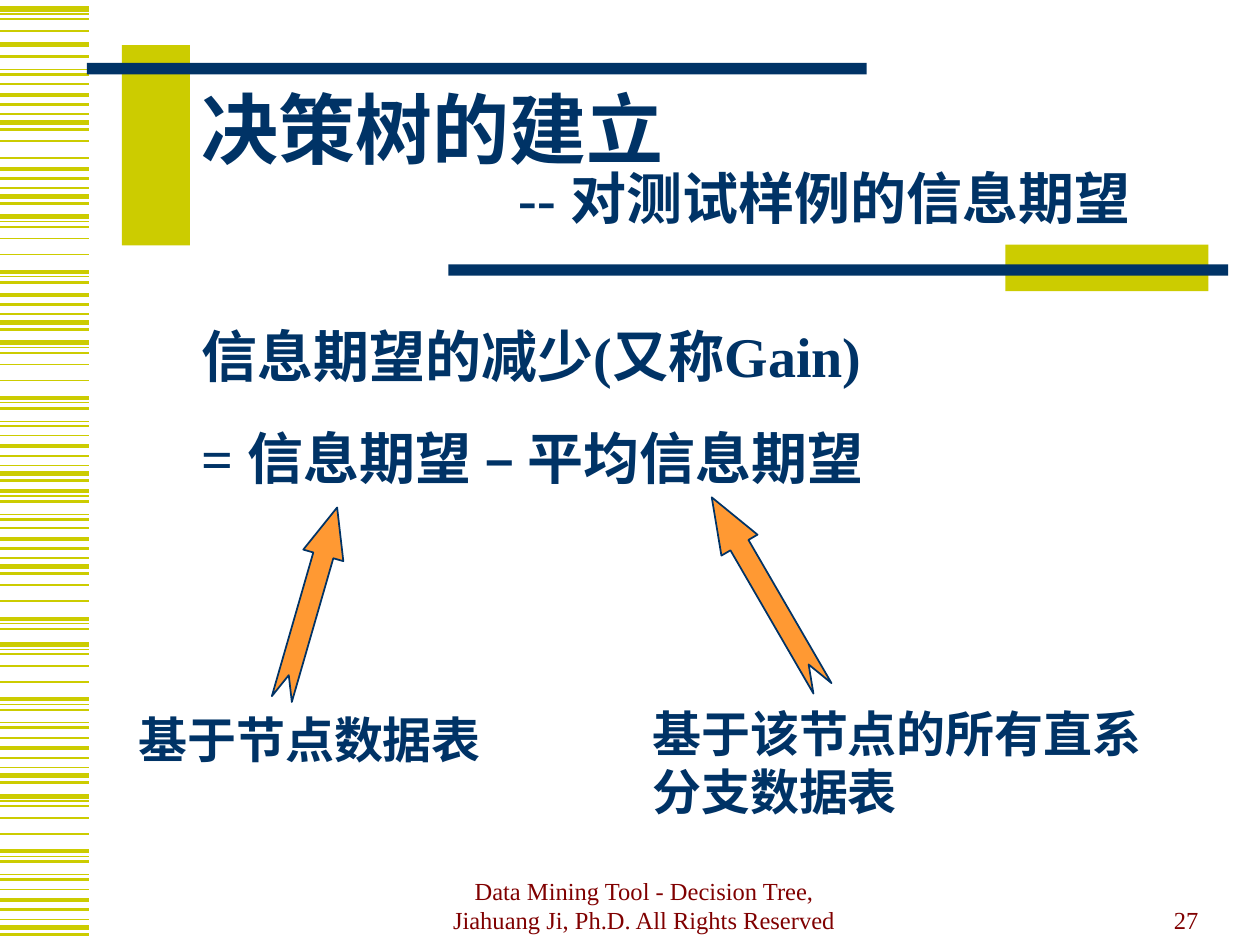
from pptx import Presentation
from pptx.dml.color import RGBColor
from pptx.enum.shapes import MSO_CONNECTOR, MSO_SHAPE
from pptx.enum.text import MSO_ANCHOR, PP_ALIGN
from pptx.oxml.ns import qn
from pptx.util import Cm, Pt
from lxml import etree

STRAIGHT = MSO_CONNECTOR.STRAIGHT
RECTANGLE = MSO_SHAPE.RECTANGLE
TOP, MIDDLE, BOTTOM = MSO_ANCHOR.TOP, MSO_ANCHOR.MIDDLE, MSO_ANCHOR.BOTTOM
LEFT, CENTER, RIGHT = PP_ALIGN.LEFT, PP_ALIGN.CENTER, PP_ALIGN.RIGHT

FONT = "Times New Roman"
COLORS = {"olive": "CCCC00", "navy": "003366", "orange": "FF9933", "maroon": "800000"}

SHORT_MOTIF = [(-0.21, 1), (0, 2.25), (0.2, 1.5), (0.39, 0.75), (0.56, 3), (0.7, 1.5)]
LONG_MOTIF = [(0, 3), (0.1, 0.75), (0.2, 1), (0.44, 1), (0.76, 1), (1.11, 2.25),
              (1.21, 0.75), (1.32, 1.5), (1.58, 0.75), (1.68, 1.5)]
STRIPE_GROUPS = [
    (SHORT_MOTIF, 18.14, 0, 6), (LONG_MOTIF, 16.05, 0, 10),
    (SHORT_MOTIF, 15.08, 0, 6), (LONG_MOTIF, 12.99, 0, 10),
    (LONG_MOTIF, 11.36, 3, 8), (SHORT_MOTIF, 10.86, 0, 6),
    (LONG_MOTIF, 8.79, 5, 10), (SHORT_MOTIF, 8.99, 0, 6),
    (LONG_MOTIF, 6.91, 0, 10), (SHORT_MOTIF, 5.94, 1, 6),
    (LONG_MOTIF, 4.37, 0, 8), (SHORT_MOTIF, 3.4, 0, 6),
    (SHORT_MOTIF, 1.91, 0, 6), (LONG_MOTIF, -0.18, 7, 10),
    (LONG_MOTIF, 0.18, 0, 4), ([(2.84, 1), (0.89, 3)], 0, 0, 2),
]


def color(name):
    """Return the named palette colour."""
    return RGBColor.from_string(COLORS[name])


def add_stripe(slide, top, weight):
    """Draw one horizontal stripe at the left edge."""
    stripe = slide.shapes.add_connector(STRAIGHT, 0, Cm(top), Cm(1.8), Cm(top))
    stripe.line.color.rgb = color("olive")
    stripe.line.width = Pt(weight)
    etree.SubElement(stripe._element.spPr, qn("a:effectLst"))


def add_bar(slide, left, top, width, height, fill):
    """Draw a plain filled rectangle."""
    bar = slide.shapes.add_shape(RECTANGLE, Cm(left), Cm(top), Cm(width), Cm(height))
    bar.shadow.inherit = False
    bar.fill.solid()
    bar.fill.fore_color.rgb = color(fill)
    bar.line.fill.background()


def add_text(slide, box, lines, fill="navy", bold=True, anchor=TOP,
             align=LEFT, spacing=None, gap=0):
    """Add a text box whose lines are (text, size, left indent) tuples."""
    shape = slide.shapes.add_textbox(*[Cm(length) for length in box])
    frame = shape.text_frame
    frame.word_wrap = True
    frame.vertical_anchor = anchor
    for index, (text, size, indent) in enumerate(lines):
        paragraph = frame.add_paragraph() if index else frame.paragraphs[0]
        paragraph.alignment = align
        if spacing:
            paragraph.line_spacing = spacing
        if index and gap:
            paragraph.space_before = Pt(gap)
        if indent:
            paragraph._p.get_or_add_pPr().set("marL", str(Cm(indent)))
        run = paragraph.add_run()
        run.text = text
        run.font.name = FONT
        run.font.size = Pt(size)
        run.font.bold = bold
        run.font.color.rgb = color(fill)


def add_arrow(slide, left, top, length, rotation):
    """Draw a notched arrow, its head a quarter of its length."""
    height = 0.84
    neck, notch = 0.75 * length, 0.125 * length
    outline = [(0, 0.25), (neck, 0.25), (neck, 0), (length, 0.5), (neck, 1),
               (neck, 0.75), (0, 0.75), (notch, 0.5)]
    points = [(Cm(left + x), Cm(top + y * height)) for x, y in outline]
    builder = slide.shapes.build_freeform(*points[0])
    builder.add_line_segments(points[1:], close=True)
    arrow = builder.convert_to_shape()
    arrow.shadow.inherit = False
    arrow.fill.solid()
    arrow.fill.fore_color.rgb = color("orange")
    arrow.line.color.rgb = color("navy")
    arrow.line.width = Pt(1)
    arrow.rotation = rotation


def main():
    """Build the slide and save it."""
    presentation = Presentation()
    presentation.slide_width, presentation.slide_height = Cm(25.4), Cm(19.05)
    slide = presentation.slides.add_slide(presentation.slide_layouts[6])

    for motif, base, start, end in STRIPE_GROUPS:
        for offset, weight in motif[start:end]:
            add_stripe(slide, base + offset, weight)

    add_bar(slide, 2.46, 0.91, 1.37, 4.04, "olive")
    add_bar(slide, 1.75, 1.27, 15.72, 0.23, "navy")
    add_bar(slide, 20.27, 4.93, 4.09, 0.94, "olive")
    add_bar(slide, 9.04, 5.33, 15.72, 0.23, "navy")

    add_text(slide, (3.81, 1.7, 20.5, 3.18),
             [("决策树的建立", 44, 0), ("-- 对测试样例的信息期望", 32, 6.4)],
             anchor=MIDDLE, spacing=0.85)
    add_text(slide, (3.81, 6.35, 20.12, 9.86),
             [("信息期望的减少(又称Gain)", 32, 0), ("= 信息期望 – 平均信息期望", 32, 0)], gap=20)
    add_text(slide, (2.54, 14.17, 7.82, 1.45), [("基于节点数据表", 28, 0)])
    add_text(slide, (12.9, 14.05, 11, 2.64), [("基于该节点的所有直系分支数据表", 28, 0)])

    add_arrow(slide, 4.23, 11.74, 4.02, 286.1)
    add_arrow(slide, 13.24, 11.53, 4.45, 239.9)

    footer = {"fill": "maroon", "bold": False, "anchor": BOTTOM}
    add_text(slide, (8.69, 17.7, 8.59, 1.27),
             [("Data Mining Tool - Decision Tree, Jiahuang Ji, Ph.D. All Rights Reserved", 14, 0)],
             align=CENTER, **footer)
    add_text(slide, (18.31, 17.7, 6.1, 1.27), [("27", 14, 0)], align=RIGHT, **footer)

    presentation.save("out.pptx")


if __name__ == "__main__":
    main()
